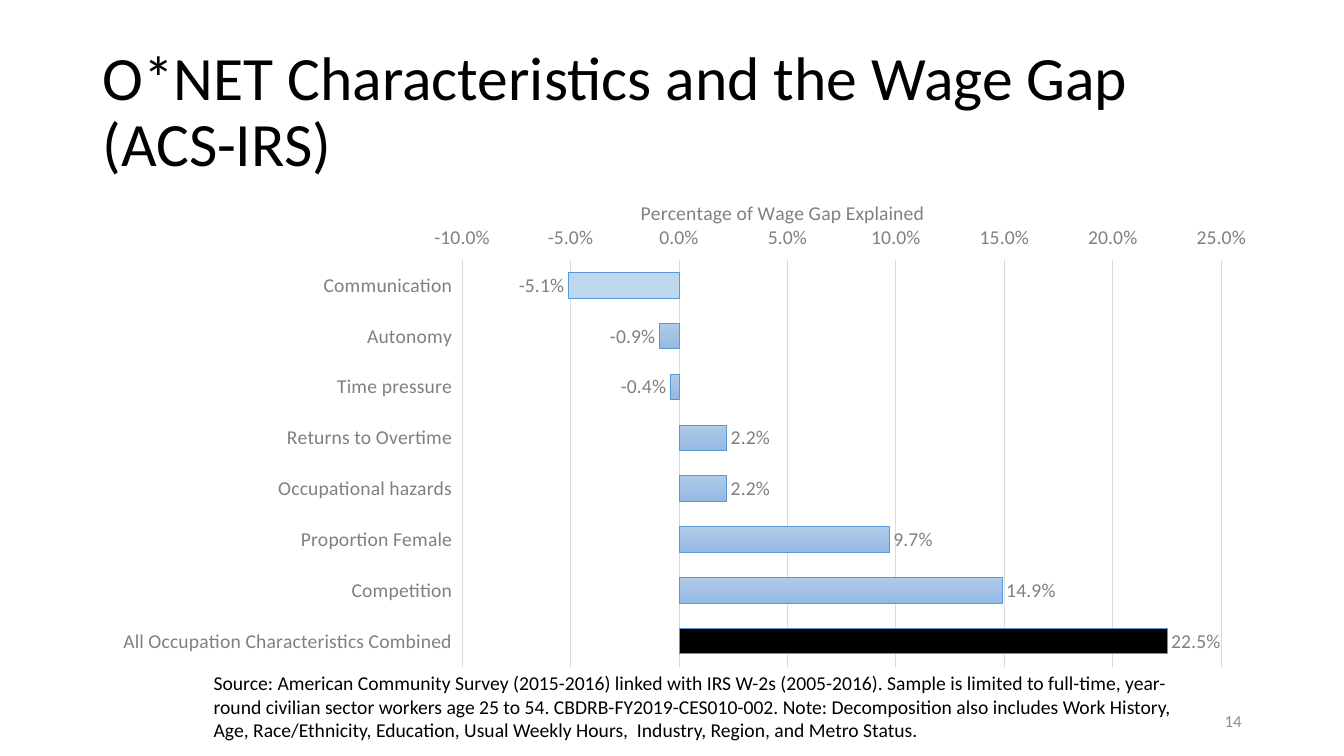
import copy

import lxml.etree
import pptx
import pptx.chart.data
import pptx.dml.color
import pptx.enum.chart
import pptx.enum.text
import pptx.oxml.ns
import pptx.util

Pt = pptx.util.Pt
FONT = "Calibri"
COLOURS = {
    "ink": "000000",
    "label": "808080",
    "page": "8C8C8C",
    "grid": "D9D9D9",
    "outline": "5998D0",
    "bar_top": "B1CBE9",
    "bar_middle": "A3C1E5",
    "bar_bottom": "93B9E4",
    "communication": "BDD7EE",
    "combined": "000000",
}
WAGE_GAP_SHARES = {
    "Communication": -0.051,
    "Autonomy": -0.009,
    "Time pressure": -0.004,
    "Returns to Overtime": 0.022,
    "Occupational hazards": 0.022,
    "Proportion Female": 0.097,
    "Competition": 0.149,
    "All Occupation Characteristics Combined": 0.225,
}
SOURCE_NOTE = (
    "Source: American Community Survey (2015-2016) linked with IRS W-2s (2005-2016). "
    "Sample is limited to full-time, year-round civilian sector workers age 25 to 54. "
    "CBDRB-FY2019-CES010-002. Note: Decomposition also includes Work History, "
    "Age, Race/Ethnicity, Education, Usual Weekly Hours,  Industry, Region, and Metro Status."
)


def rgb(name):
    return pptx.dml.color.RGBColor.from_string(COLOURS[name])


def style_font(font, size, colour):
    font.name = FONT
    font.size = Pt(size)
    font.bold = False
    font.color.rgb = rgb(colour)


def style_line(line, colour):
    line.color.rgb = rgb(colour)
    line.width = Pt(0.75)


def set_layout(parent, **settings):
    qn = pptx.oxml.ns.qn
    layout = parent.find(qn("c:layout"))
    if layout is None:
        layout = lxml.etree.Element(qn("c:layout"))
        parent.insert(0, layout)
    manual = lxml.etree.SubElement(layout, qn("c:manualLayout"))
    for key, value in settings.items():
        lxml.etree.SubElement(manual, qn(f"c:{key}")).set("val", str(value))


def add_title(slide, left, top, width, height):
    title = slide.shapes.title
    title.left, title.top, title.width, title.height = map(Pt, (left, top, width, height))
    frame = title.text_frame
    frame.text = "O*NET Characteristics and the Wage Gap (ACS-IRS)"
    frame.auto_size = pptx.enum.text.MSO_AUTO_SIZE.NONE
    frame.vertical_anchor = pptx.enum.text.MSO_ANCHOR.MIDDLE
    heading = frame.paragraphs[0]
    heading.alignment = pptx.enum.text.PP_ALIGN.LEFT
    heading.line_spacing = 0.9
    style_font(heading.font, 44, "ink")


def add_text(slide, left, top, width, height, text, size, colour, align, anchor):
    box = slide.shapes.add_textbox(Pt(left), Pt(top), Pt(width), Pt(height))
    frame = box.text_frame
    frame.word_wrap = True
    frame.vertical_anchor = anchor
    frame.text = text
    frame.paragraphs[0].alignment = align
    style_font(frame.paragraphs[0].font, size, colour)


def style_axes(chart):
    characteristics, share = chart.category_axis, chart.value_axis
    characteristics.reverse_order = True
    style_line(characteristics.format.line, "grid")
    share.minimum_scale, share.maximum_scale, share.major_unit = -0.1, 0.25, 0.05
    share.tick_labels.number_format = "0.0%"
    share.tick_labels.number_format_is_linked = False
    share.format.line.fill.background()
    share.has_major_gridlines = True
    style_line(share.major_gridlines.format.line, "grid")
    for axis in (characteristics, share):
        axis.major_tick_mark = pptx.enum.chart.XL_TICK_MARK.NONE
        axis.minor_tick_mark = pptx.enum.chart.XL_TICK_MARK.NONE
        axis.tick_label_position = pptx.enum.chart.XL_TICK_LABEL_POSITION.LOW
        style_font(axis.tick_labels.font, 14, "label")
    heading = share.axis_title
    heading.text_frame.text = "Percentage of Wage Gap Explained"
    style_font(heading.text_frame.paragraphs[0].font, 14, "label")
    set_layout(heading._element, xMode="edge", yMode="edge", x=0.47, y=0.02)


def style_bars(plot):
    plot.gap_width = 100
    plot.vary_by_categories = False
    bars = plot.series[0]
    bars.invert_if_negative = False
    fill = bars.format.fill
    fill.gradient()
    fill.gradient_angle = 270
    first_stop = fill.gradient_stops[0]._gs
    first_stop.addnext(copy.deepcopy(first_stop))
    for index, name in enumerate(("bar_top", "bar_middle", "bar_bottom")):
        stop = fill.gradient_stops[index]
        stop.position = index / 2
        stop.color.rgb = rgb(name)
    style_line(bars.format.line, "outline")
    for index, name in ((0, "communication"), (len(WAGE_GAP_SHARES) - 1, "combined")):
        highlight = bars.points[index].format
        highlight.fill.solid()
        highlight.fill.fore_color.rgb = rgb(name)
        style_line(highlight.line, "outline")

    labels = bars.data_labels
    labels.show_value = True
    labels.number_format = "0.0%"
    labels.number_format_is_linked = False
    labels.position = pptx.enum.chart.XL_LABEL_POSITION.OUTSIDE_END
    style_font(labels.font, 14, "label")


def add_wage_gap_chart(slide, left, top, width, height):
    data = pptx.chart.data.CategoryChartData(number_format="0.0%")
    data.categories = list(WAGE_GAP_SHARES)
    data.add_series("Series 1", list(WAGE_GAP_SHARES.values()))
    chart = slide.shapes.add_chart(
        pptx.enum.chart.XL_CHART_TYPE.BAR_CLUSTERED,
        Pt(left), Pt(top), Pt(width), Pt(height), data,
    ).chart
    chart.has_legend = False
    chart.has_title = False
    style_font(chart.font, 14, "ink")
    style_axes(chart)
    style_bars(chart.plots[0])
    plot_area = chart._chartSpace.chart.plotArea
    set_layout(plot_area, layoutTarget="inner", xMode="edge", yMode="edge",
               x=0.319, y=0.153, w=0.655, h=0.846)


def main():
    deck = pptx.Presentation()
    deck.slide_width, deck.slide_height = Pt(960), Pt(540)
    slide = deck.slides.add_slide(deck.slide_layouts[5])
    align, anchor = pptx.enum.text.PP_ALIGN, pptx.enum.text.MSO_ANCHOR
    add_title(slide, 66, 28.75, 828, 104.4)
    add_text(slide, 678, 500.5, 216, 28.75, "14", 12, "page", align.RIGHT, anchor.MIDDLE)
    add_wage_gap_chart(slide, 66, 133.2, 828, 343.4)
    add_text(slide, 145.5, 476, 720.5, 58, SOURCE_NOTE, 14, "ink", align.LEFT, anchor.TOP)
    deck.save("out.pptx")


if __name__ == "__main__":
    main()
